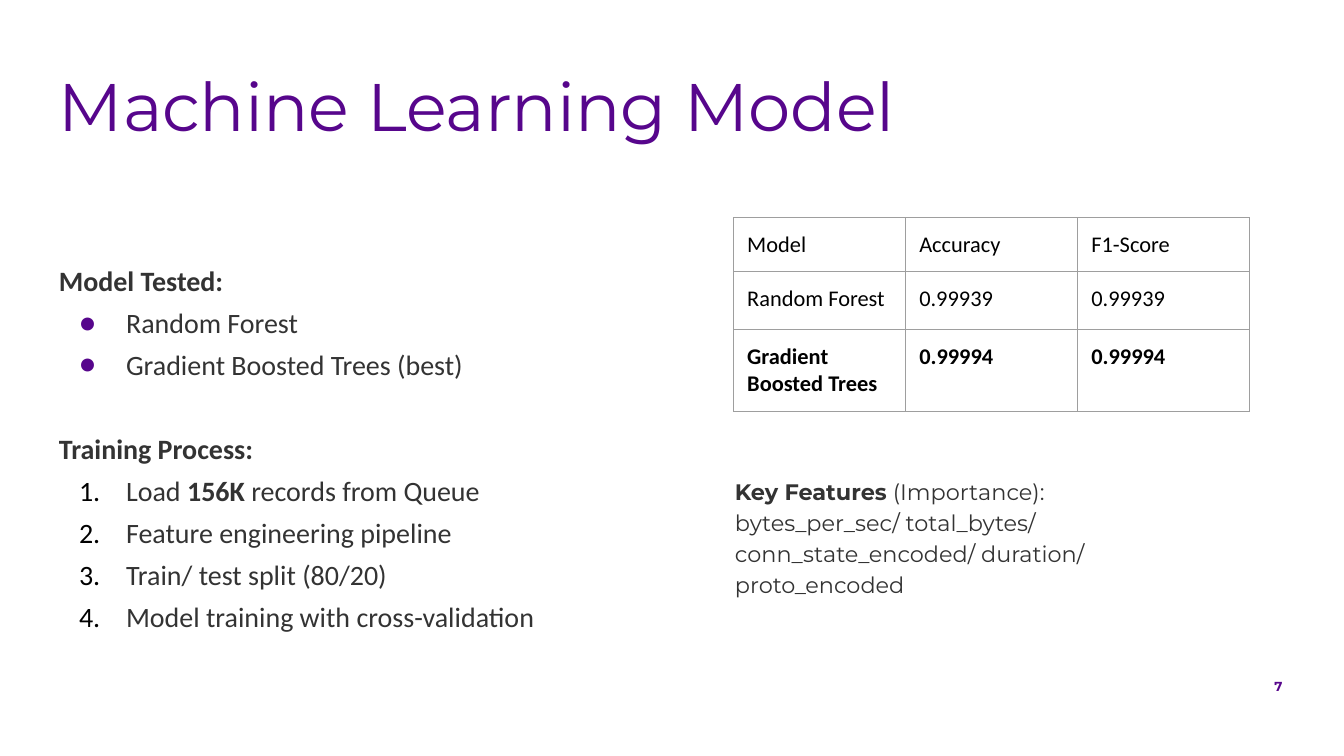
from lxml.etree import SubElement
from pptx import Presentation
from pptx.dml.color import RGBColor
from pptx.enum.text import MSO_ANCHOR as Anchor, PP_ALIGN as Align
from pptx.oxml.ns import qn
from pptx.util import Inches, Pt

PURPLE = RGBColor(0x57, 0x06, 0x8C)
DARK = RGBColor(0x33, 0x33, 0x33)
BLACK = RGBColor(0, 0, 0)
GRAY = RGBColor(0x9E, 0x9E, 0x9E)

TITLE = {"name": "Montserrat", "size": Pt(36), "color": PURPLE}
NUMBER = {"name": "Montserrat", "size": Pt(7), "color": PURPLE, "bold": True}
BODY = {"name": "Calibri", "size": Pt(15), "color": DARK}
FEATURES = {"name": "Montserrat", "size": Pt(12), "color": DARK}
CELL = {"name": "Calibri", "size": Pt(12), "color": BLACK}


def add_box(left, top, width, height):
    box = page.shapes.add_textbox(*map(Inches, (left, top, width, height)))
    frame = box.text_frame
    frame.word_wrap = True
    for side in ("left", "top", "right", "bottom"):
        setattr(frame, f"margin_{side}", Inches(0.1))
    return frame


def add_span(para, text, style, bold=False):
    span = para.add_run()
    span.text = text
    for key, value in ({"bold": bold} | style).items():
        if key == "color":
            span.font.color.rgb = value
        else:
            setattr(span.font, key, value)


# Widescreen 16:9 deck
deck = Presentation()
deck.slide_width = Inches(10)
deck.slide_height = Inches(10 * 9 / 16)
page = deck.slides.add_slide(deck.slide_layouts[6])

# Page number
frame = add_box(5.05, 4.94, 4.59, 0.34)
frame.vertical_anchor = Anchor.MIDDLE
para = frame.paragraphs[0]
para.alignment = Align.RIGHT
add_span(para, "7", NUMBER)

# Title
para = add_box(0.34, 0.47, 6.7, 1.16).paragraphs[0]
para.line_spacing = 0.85
add_span(para, "Machine Learning Model", TITLE)

# Models and training steps: list kind, then (text, bold) spans
lines = [
    ("heading", [("Model Tested:", True)]),
    ("bullet", [("Random Forest", False)]),
    ("bullet", [("Gradient Boosted Trees (best)", False)]),
    ("heading", [("Training Process:", True)]),
    ("number", [("Load ", False), ("156K", True), (" records from Queue", False)]),
    ("number", [("Feature engineering pipeline", False)]),
    ("number", [("Train/ test split (80/20)", False)]),
    ("number", [("Model training with cross-validation", False)]),
]
markers = {
    "bullet": (PURPLE, "a:buChar", {"char": "●"}),
    "number": (BLACK, "a:buAutoNum", {"type": "arabicPeriod"}),
}
frame = add_box(0.34, 1.8, 9.14, 2.65)
for index, (kind, spans) in enumerate(lines):
    para = frame.add_paragraph() if index else frame.paragraphs[0]
    para.line_spacing = 1.25
    if kind == "heading" and index:
        para.space_before = Pt(22.5)
    if kind in markers:
        color, tag, values = markers[kind]
        props = para._p.get_or_add_pPr()
        props.set("marL", str(Inches(0.5)))
        props.set("indent", str(Inches(-0.35)))
        SubElement(SubElement(props, qn("a:buClr")), qn("a:srgbClr"), val=str(color))
        SubElement(props, qn("a:buFont"), typeface="Calibri")
        SubElement(props, qn(tag), values)
    for text, bold in spans:
        add_span(para, text, BODY, bold)

# Score table
rows = [
    ("Model", "Accuracy", "F1-Score"),
    ("Random Forest", "0.99939", "0.99939"),
    ("Gradient Boosted Trees", "0.99994", "0.99994"),
]
heights = (0.4, 0.43, 0.61)
table = page.shapes.add_table(
    3, 3, Inches(5.46), Inches(1.62), Inches(3.84), Inches(sum(heights))
).table
table.first_row = table.horz_banding = False
for column in table.columns:
    column.width = Inches(1.28)
for r, (row, height) in enumerate(zip(rows, heights)):
    table.rows[r].height = Inches(height)
    for c, text in enumerate(row):
        cell = table.cell(r, c)
        for side in ("left", "top", "right", "bottom"):
            setattr(cell, f"margin_{side}", Inches(0.1))
        add_span(cell.text_frame.paragraphs[0], text, CELL, bold=r == 2)
        props = cell._tc.get_or_add_tcPr()
        for edge in ("a:lnL", "a:lnR", "a:lnT", "a:lnB"):
            border = SubElement(props, qn(edge), w=str(Pt(0.75)))
            fill = SubElement(border, qn("a:solidFill"))
            SubElement(fill, qn("a:srgbClr"), val=str(GRAY))
        cell.fill.background()

# Key features
para = add_box(5.37, 3.43, 3.28, 1.1).paragraphs[0]
para.line_spacing = 1.15
para.space_before = para.space_after = Pt(12)
add_span(para, "Key Features", FEATURES, bold=True)
add_span(
    para,
    " (Importance): bytes_per_sec/ total_bytes/ conn_state_encoded/ duration/ proto_encoded",
    FEATURES,
)

deck.save("out.pptx")
